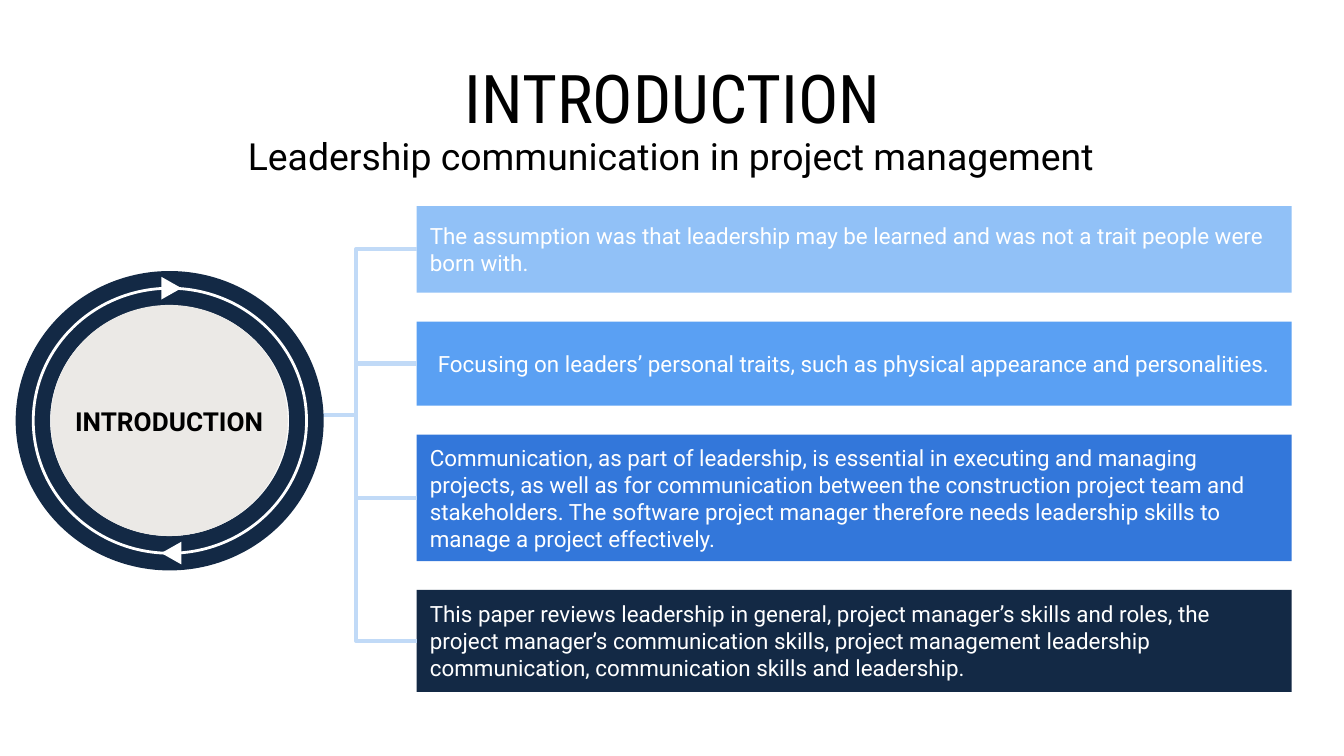
import pptx
import pptx.util
import pptx.dml.color
import pptx.enum.shapes
import pptx.enum.text
from lxml import etree

Pt = pptx.util.Pt
SHAPE = pptx.enum.shapes.MSO_SHAPE
ALIGN = pptx.enum.text.PP_ALIGN
ANCHOR = pptx.enum.text.MSO_ANCHOR
COLORS = {
    "black": "000000", "white": "FFFFFF", "pale": "91C1F7", "light": "5AA0F3",
    "medium": "3377DA", "navy": "132945", "line": "C1DAF7", "gray": "EBE9E6",
}


def add_shape(kind, left, top, width, height, fill=None, line=None):
    shape = slide.shapes.add_shape(kind, Pt(left), Pt(top), Pt(width), Pt(height))
    shape.shadow.inherit = False
    if fill:
        shape.fill.solid()
        shape.fill.fore_color.rgb = pptx.dml.color.RGBColor.from_string(COLORS[fill])
    else:
        shape.fill.background()
    if line:
        shape.line.color.rgb = pptx.dml.color.RGBColor.from_string(COLORS[line])
        shape.line.width = Pt(1.5)
    else:
        shape.line.fill.background()
    return shape


def set_text(shape, text, size, color, font="Roboto", align=ALIGN.LEFT,
             anchor=ANCHOR.MIDDLE, inset=7.2, wrap=True, bold=False):
    frame = shape.text_frame
    frame.word_wrap = wrap
    frame.vertical_anchor = anchor
    frame.margin_left = frame.margin_right = Pt(7.2)
    frame.margin_top = frame.margin_bottom = Pt(inset)
    paragraph = frame.paragraphs[0]
    paragraph.text = text
    paragraph.alignment = align
    paragraph.font.name = font
    paragraph.font.size = Pt(size)
    paragraph.font.bold = bold
    paragraph.font.color.rgb = pptx.dml.color.RGBColor.from_string(COLORS[color])


presentation = pptx.Presentation()
presentation.slide_width = Pt(720)
presentation.slide_height = Pt(405)
slide = presentation.slides.add_slide(presentation.slide_layouts[6])

title = slide.shapes.add_textbox(Pt(36), Pt(23), Pt(648.7), Pt(45.4))
set_text(title, "INTRODUCTION", 36, "black", "Roboto Condensed", ALIGN.CENTER, ANCHOR.TOP)

subtitle = slide.shapes.add_textbox(Pt(119.5), Pt(67.7), Pt(480.2), Pt(31.7))
set_text(subtitle, "Leadership communication in project management", 20, "black",
         align=ALIGN.CENTER)

points = [
    (46.4, "pale", ALIGN.LEFT,
     "The assumption was that leadership may be learned and was not a trait people were born with."),
    (45, "light", ALIGN.CENTER,
     "Focusing on leaders’ personal traits, such as physical appearance and personalities."),
    (67.8, "medium", ALIGN.LEFT,
     "Communication, as part of leadership, is essential in executing and managing projects, "
     "as well as for communication between the construction project team and stakeholders. "
     "The software project manager therefore needs leadership skills to manage a project effectively."),
    (54.6, "navy", ALIGN.LEFT,
     "This paper reviews leadership in general, project manager’s skills and roles, "
     "the project manager’s communication skills, project management leadership communication, "
     "communication skills and leadership."),
]
box_left, box_width, box_gap = 223.2, 468.7, 15.5
top = 110.4
for height, color, align, text in points:
    box = add_shape(SHAPE.ROUNDED_RECTANGLE, box_left, top, box_width, height, color)
    box.adjustments[0] = 0
    set_text(box, text, 12, "white", align=align)
    connector = slide.shapes.add_connector(
        pptx.enum.shapes.MSO_CONNECTOR.ELBOW,
        Pt(158.4), Pt(222.3), Pt(box_left), Pt(top + height / 2))
    connector.end_connect(box, 1)
    connector.line.color.rgb = pptx.dml.color.RGBColor.from_string(COLORS["line"])
    connector.line.width = Pt(2.25)
    etree.SubElement(connector.element.spPr, pptx.oxml.ns.qn("a:effectLst"))
    top += height + box_gap

ring = add_shape(SHAPE.DONUT, 8.4, 145.2, 165, 160.4, "navy")
ring.adjustments[0] = 0.115
add_shape(SHAPE.OVAL, 17.8, 154.4, 146.4, 142, line="white")
for arrow_top, rotation in [(149, 90), (290.9, 270)]:
    arrow = add_shape(SHAPE.ISOSCELES_TRIANGLE, 85.7, arrow_top, 12.2, 10.8, "white")
    arrow.rotation = rotation
add_shape(SHAPE.OVAL, 27.2, 163.4, 127, 123.8, "gray")

label = slide.shapes.add_textbox(Pt(33.1), Pt(213.8), Pt(115.9), Pt(24.5))
set_text(label, "INTRODUCTION", 14, "black", anchor=ANCHOR.TOP, inset=3.6, wrap=False, bold=True)

presentation.save("out.pptx")
